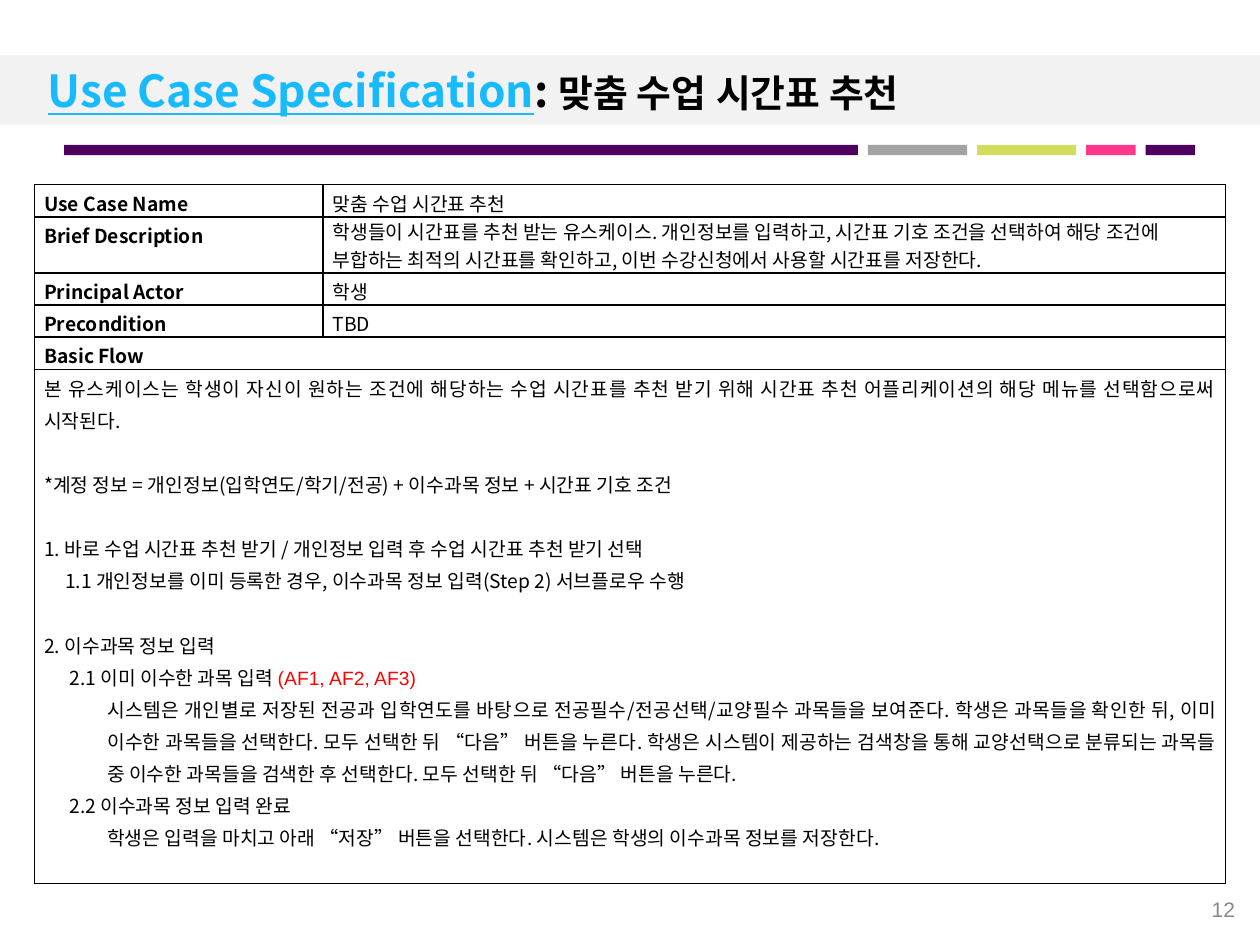
from pptx import Presentation
from pptx.dml.color import RGBColor as RGB
from pptx.enum.shapes import MSO_SHAPE as Shape
from pptx.enum.text import MSO_ANCHOR as Anchor, PP_ALIGN as Align
from pptx.oxml import parse_xml
from pptx.oxml.ns import nsdecls
from pptx.util import Pt

FONT = "Noto Sans CJK KR"
HUES = {
    "plum": "4E005F", "gray": "A3A3A3", "lime": "D1DD5B", "pink": "FF388C",
    "band": "F2F2F2", "sky": "17BBFD", "black": "000000", "white": "FFFFFF",
    "dim": "898989", "red": "FF0000",
}
BARS = [(453.6, "plum"), (56.7, "gray"), (56.7, "lime"), (28.3, "pink"), (28.3, "plum")]
TITLE = [("Use Case Specification", 25.2, "sky"), (": ", 25.2, "black"),
         ("맞춤 수업", 21.6, "black"), (" ", 25.2, "black"), ("시간표 추천", 21.6, "black")]
FACTS = [
    ("Use Case Name", "맞춤 수업 시간표 추천"),
    ("Brief Description", "학생들이 시간표를 추천 받는 유스케이스. 개인정보를 입력하고, "
     "시간표 기호 조건을 선택하여 해당 조건에 부합하는 최적의 시간표를 확인하고, "
     "이번 수강신청에서 사용할 시간표를 저장한다."),
    ("Principal Actor", "학생"),
    ("Precondition", "TBD"),
]
FLOW = [
    (0, 0, "본 유스케이스는 학생이 자신이 원하는 조건에 해당하는 수업 시간표를 추천 받기 위해 "
     "시간표 추천 어플리케이션의 해당 메뉴를 선택함으로써 시작된다."),
    (0, 1, "*계정 정보 = 개인정보(입학연도/학기/전공) + 이수과목 정보 + 시간표 기호 조건"),
    (0, 1, "1. 바로 수업 시간표 추천 받기 / 개인정보 입력 후 수업 시간표 추천 받기 선택"),
    (12, 0, "1.1 개인정보를 이미 등록한 경우, 이수과목 정보 입력(Step 2) 서브플로우 수행"),
    (0, 1, "2. 이수과목 정보 입력"),
    (14.4, 0, "2.1 이미 이수한 과목 입력 "),
    (36, 0, "시스템은 개인별로 저장된 전공과 입학연도를 바탕으로 전공필수/전공선택/교양필수 "
     "과목들을 보여준다. 학생은 과목들을 확인한 뒤, 이미 이수한 과목들을 선택한다. "
     "모두 선택한 뒤 “다음” 버튼을 누른다. 학생은 시스템이 제공하는 검색창을 통해 "
     "교양선택으로 분류되는 과목들 중 이수한 과목들을 검색한 후 선택한다. "
     "모두 선택한 뒤 “다음” 버튼을 누른다."),
    (14.4, 0, "2.2 이수과목 정보 입력 완료"),
    (36, 0, "학생은 입력을 마치고 아래 “저장” 버튼을 선택한다. "
     "시스템은 학생의 이수과목 정보를 저장한다."),
]
ALT = (5, "(AF1, AF2, AF3)")
LINE = 18.4


def hue(name):
    return RGB.from_string(HUES[name])


def style(run, size, tint="black", bold=False, face=FONT):
    font = run.font
    font.size, font.bold, font.name = Pt(size), bold, face
    font.color.rgb = hue(tint)
    run._r.get_or_add_rPr().append(
        parse_xml(f'<a:ea {nsdecls("a")} typeface="{face}"/>'))


def add_run(para, text, *look, **more):
    run = para.add_run()
    run.text = text
    style(run, *look, **more)
    return run


def add_bar(slide, x, y, w, h, tint):
    bar = slide.shapes.add_shape(Shape.RECTANGLE, Pt(x), Pt(y), Pt(w), Pt(h))
    bar.shadow.inherit = False
    bar.fill.solid()
    bar.fill.fore_color.rgb = hue(tint)
    bar.line.fill.background()


def add_box(slide, x, y, w, h):
    frame = slide.shapes.add_textbox(Pt(x), Pt(y), Pt(w), Pt(h)).text_frame
    frame.word_wrap = True
    frame.vertical_anchor = Anchor.MIDDLE
    return frame.paragraphs[0]


def frame_cell(cell):
    cell.margin_left = cell.margin_right = Pt(5.4)
    cell.margin_top = cell.margin_bottom = 0
    cell.fill.solid()
    cell.fill.fore_color.rgb = hue("white")
    props = cell._tc.get_or_add_tcPr()
    for spot, side in enumerate("LRTB"):
        props.insert(spot, parse_xml(
            f'<a:ln{side} {nsdecls("a")} w="12700"><a:solidFill>'
            f'<a:srgbClr val="{HUES["black"]}"/></a:solidFill></a:ln{side}>'))


def write(para, text, bold=False, loose=True):
    add_run(para, text, 11, bold=bold)
    if loose:
        para.alignment = Align.JUSTIFY
        para.line_spacing = 1.15


def write_flow(frame):
    for i, (dent, gap, text) in enumerate(FLOW):
        para = frame.add_paragraph() if i else frame.paragraphs[0]
        write(para, text)
        para.space_before = Pt(gap * LINE)
        props = para._p.get_or_add_pPr()
        props.set("marL", str(Pt(dent)))
        props.set("indent", "0")
        if i == ALT[0]:
            add_run(para, ALT[1], 11, "red", face="Arial")


def add_grid(slide):
    highs = [LINE, 32, LINE, LINE, LINE, 293.8]
    grid = slide.shapes.add_table(
        len(highs), 2, Pt(19.8), Pt(105.5), Pt(680.4), Pt(sum(highs))).table
    grid.first_row = grid.horz_banding = False
    for col, wide in zip(grid.columns, (164.9, 515.5)):
        col.width = Pt(wide)
    for row, high in zip(grid.rows, highs):
        row.height = Pt(high)
        for cell in row.cells:
            frame_cell(cell)
    for r in (4, 5):
        grid.cell(r, 0).merge(grid.cell(r, 1))
    for r, (name, text) in enumerate(FACTS):
        write(grid.cell(r, 0).text_frame.paragraphs[0], name, True)
        write(grid.cell(r, 1).text_frame.paragraphs[0], text, loose=r != 1)
    write(grid.cell(4, 0).text_frame.paragraphs[0], "Basic Flow", True)
    write_flow(grid.cell(5, 0).text_frame)


def main():
    deck = Presentation()
    deck.slide_width, deck.slide_height = Pt(720), Pt(540)
    slide = deck.slides.add_slide(deck.slide_layouts[6])
    x = 36.7
    for wide, tint in BARS:
        add_bar(slide, x, 82.8, wide, 5.8, tint)
        x += wide + 5.67
    add_bar(slide, 0, 31.7, 720, 39.6, "band")
    title = add_box(slide, 20.2, 31, 680.4, 40.3)
    for text, size, tint in TITLE:
        run = add_run(title, text, size, tint, True)
        run.font.underline = tint == "sky"
    page = add_box(slide, 550.8, 505.4, 162, 28.8)
    page.alignment = Align.RIGHT
    add_run(page, "12", 12, "dim", face="Arial")
    add_grid(slide)
    deck.save("out.pptx")


if __name__ == "__main__":
    main()
